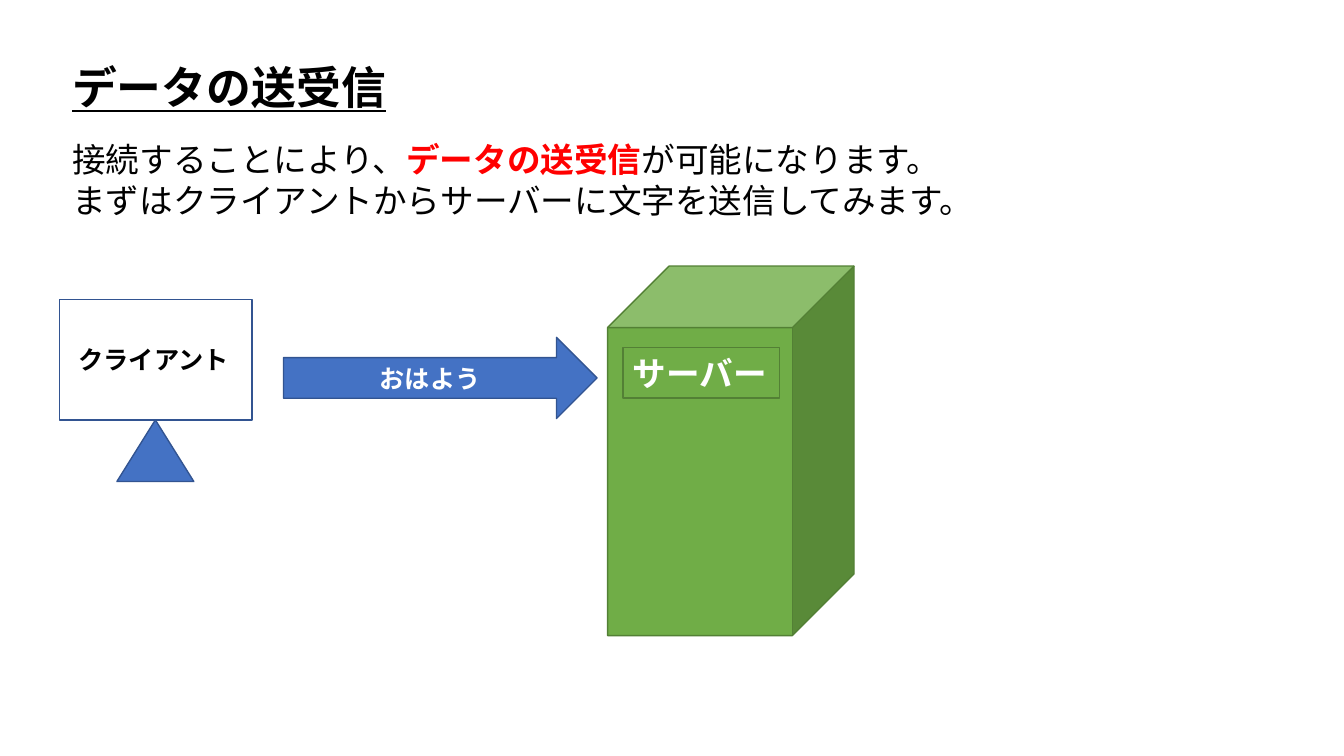
from pptx import Presentation
from pptx.dml.color import RGBColor
from pptx.enum.shapes import MSO_SHAPE
from pptx.enum.text import MSO_ANCHOR, MSO_AUTO_SIZE, PP_ALIGN
from pptx.oxml.ns import qn
from pptx.util import Pt
from lxml.etree import SubElement

FONT = "Noto Sans CJK JP"
BLACK, WHITE, RED = "000000", "FFFFFF", "FF0000"
BLUE, DARK_BLUE = "4472C4", "325491"
GREEN, DARK_GREEN = "70AD47", "538035"


def color(hex_code):
    return RGBColor.from_string(hex_code)


def style_paragraph(paragraph, size, font_color, bold=False, underline=False):
    """Set the font for both Latin and East Asian text."""
    font = paragraph.font
    font.size = Pt(size)
    font.bold = bold
    font.underline = underline
    font.color.rgb = color(font_color)
    font.name = FONT
    defaults = paragraph._p.pPr.find(qn("a:defRPr"))
    SubElement(defaults, qn("a:ea"), typeface=FONT)


def fit_to_text(frame):
    frame.word_wrap = False
    frame.auto_size = MSO_AUTO_SIZE.SHAPE_TO_FIT_TEXT


def add_text(slide, box, lines, size, **style):
    """Write each line as a paragraph of (text, highlighted) pieces."""
    frame = slide.shapes.add_textbox(*map(Pt, box)).text_frame
    fit_to_text(frame)
    for index, pieces in enumerate(lines):
        paragraph = frame.add_paragraph() if index else frame.paragraphs[0]
        style_paragraph(paragraph, size, BLACK, **style)
        for text, highlighted in pieces:
            run = paragraph.add_run()
            run.text = text
            if highlighted:
                run.font.bold = True
                run.font.color.rgb = color(RED)


def add_figure(slide, kind, box, fill, outline):
    figure = slide.shapes.add_shape(kind, *map(Pt, box))
    figure.shadow.inherit = False
    figure.fill.solid()
    figure.fill.fore_color.rgb = color(fill)
    figure.line.color.rgb = color(outline)
    figure.line.width = Pt(1)
    return figure


def label_figure(figure, text, size, align, anchor):
    frame = figure.text_frame
    frame.vertical_anchor = anchor
    paragraph = frame.paragraphs[0]
    paragraph.text = text
    paragraph.alignment = align
    style_paragraph(paragraph, size, WHITE, bold=True)


def add_client(slide):
    add_figure(slide, MSO_SHAPE.ISOSCELES_TRIANGLE, (83.5, 300, 55, 44), BLUE, DARK_BLUE)
    add_figure(slide, MSO_SHAPE.RECTANGLE, (42.5, 214, 137.5, 86), WHITE, DARK_BLUE)
    add_text(slide, (49, 242.5, 124, 29), [[("クライアント", False)]], 18, bold=True)


def add_server(slide):
    add_figure(slide, MSO_SHAPE.CUBE, (434, 190, 176, 264), GREEN, DARK_GREEN)
    nameplate = add_figure(slide, MSO_SHAPE.RECTANGLE, (445, 248.4, 111.6, 36), GREEN, DARK_GREEN)
    label_figure(nameplate, "サーバー", 24, PP_ALIGN.LEFT, MSO_ANCHOR.TOP)
    fit_to_text(nameplate.text_frame)


def add_message(slide):
    arrow = add_figure(slide, MSO_SHAPE.RIGHT_ARROW, (202.5, 241, 224, 58), BLUE, DARK_BLUE)
    label_figure(arrow, "おはよう", 18, PP_ALIGN.CENTER, MSO_ANCHOR.MIDDLE)


def main():
    presentation = Presentation()
    presentation.slide_width, presentation.slide_height = Pt(960), Pt(540)
    slide = presentation.slides.add_slide(presentation.slide_layouts[6])

    add_text(slide, (44.5, 39, 240.5, 46), [[("データの送受信", False)]], 32,
             bold=True, underline=True)
    explanation = [
        [("接続することにより、", False), ("データの送受信", True), ("が可能になります。", False)],
        [("まずはクライアントからサーバーに文字を送信してみます。", False)],
    ]
    add_text(slide, (44.5, 96, 669, 65.5), explanation, 24)

    add_client(slide)
    add_server(slide)
    add_message(slide)
    presentation.save("out.pptx")


if __name__ == "__main__":
    main()
